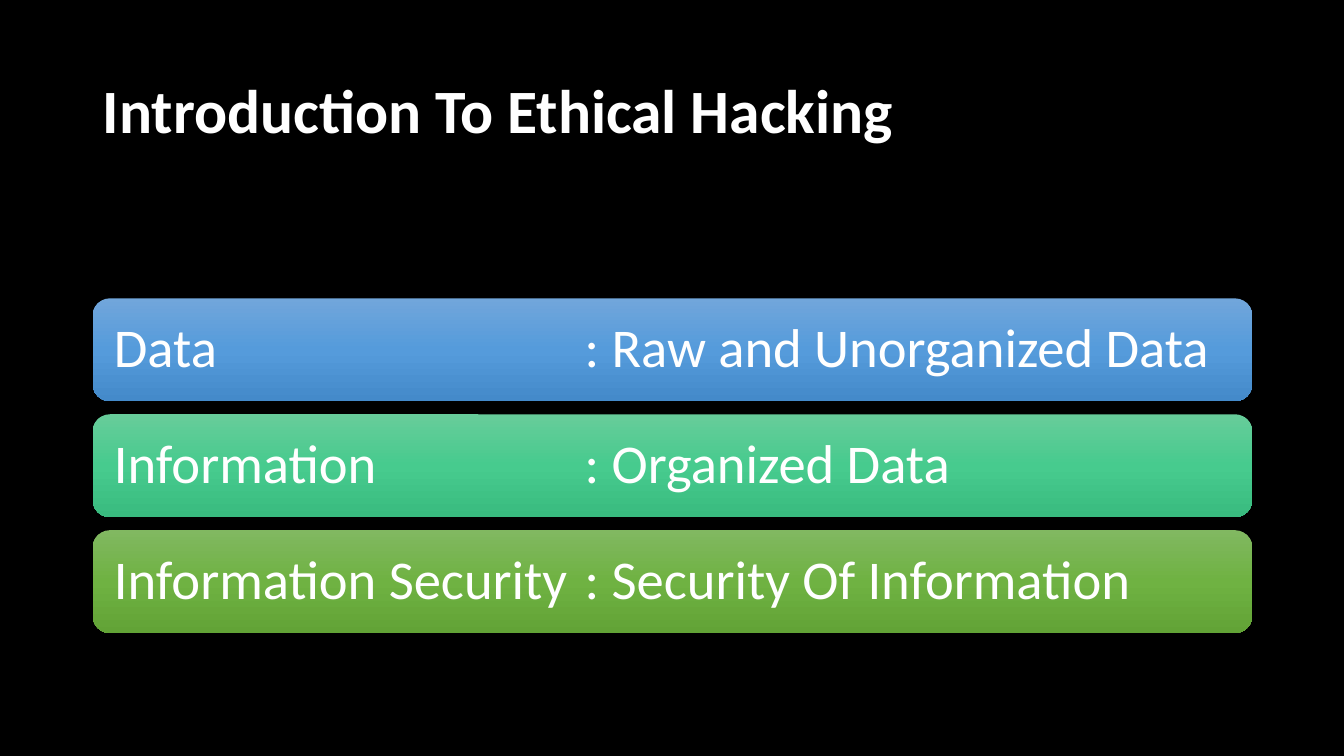
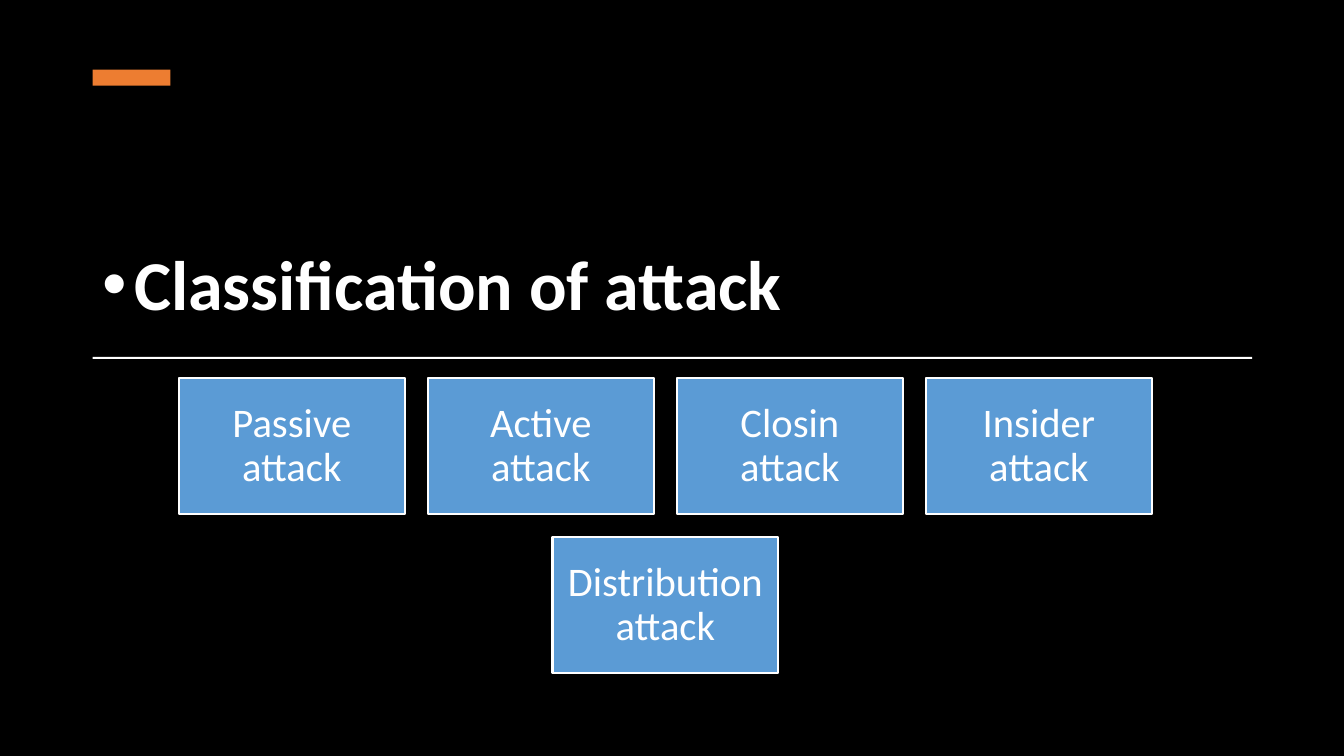
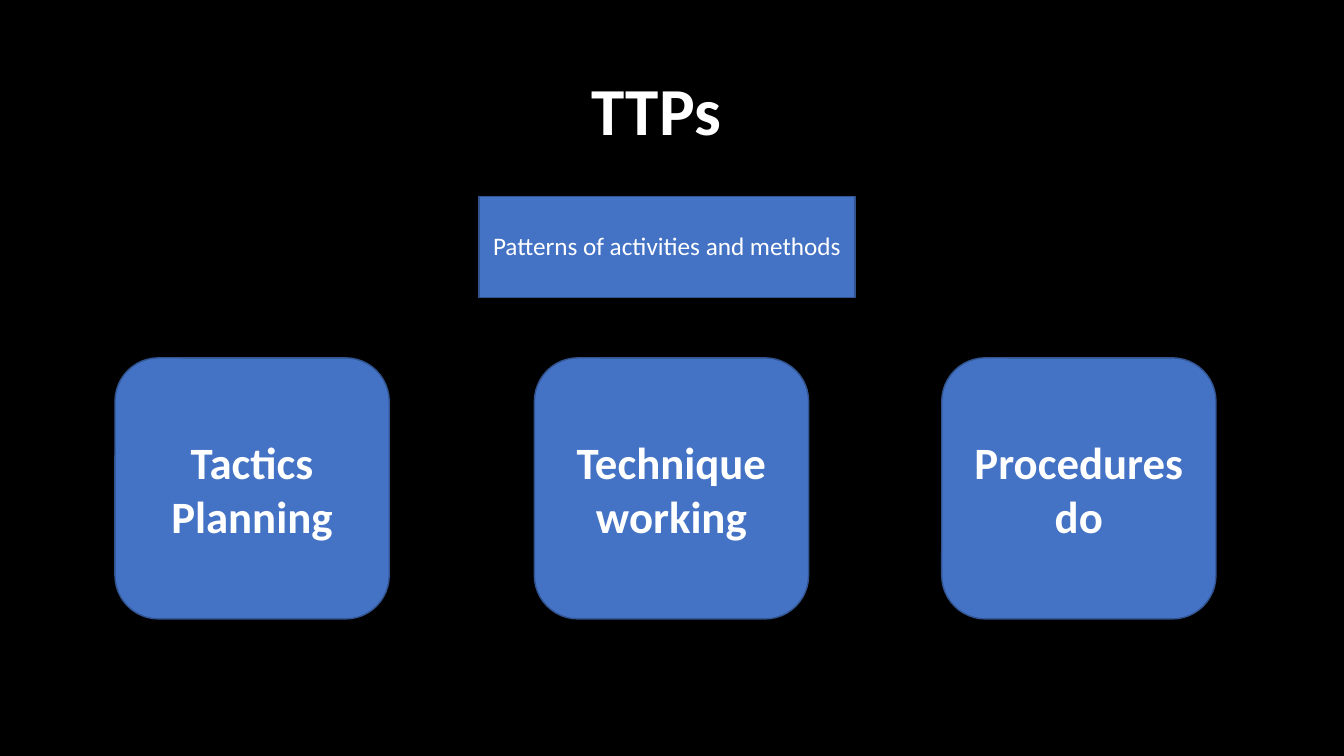
from copy import deepcopy

from lxml.etree import SubElement
from pptx import Presentation
from pptx.dml.color import RGBColor
from pptx.enum.shapes import MSO_SHAPE
from pptx.enum.text import MSO_ANCHOR, MSO_AUTO_SIZE, PP_ALIGN
from pptx.oxml.ns import qn
from pptx.util import Inches, Pt

FONT = "Calibri"
BLACK = "000000"
WHITE = "FFFFFF"
ORANGE = "ED7D31"
LIGHT_BLUE = "5B9BD5"
BLUE = "4472C4"
DARK_BLUE = "325491"
MARGIN = 0.92
CONTENT_WIDTH = 11.5

colour = RGBColor.from_string

presentation = Presentation()
presentation.slide_width = Inches(13.33)
presentation.slide_height = Inches(7.5)
background = presentation.slide_master.background.fill
background.solid()
background.fore_color.rgb = colour(BLACK)


def format_text(shape, text, size, bold=False, align=PP_ALIGN.CENTER,
                anchor=MSO_ANCHOR.MIDDLE, line_spacing=0.9):
    text_frame = shape.text_frame
    text_frame.text = text
    text_frame.word_wrap = True
    text_frame.auto_size = MSO_AUTO_SIZE.NONE
    text_frame.vertical_anchor = anchor
    for paragraph in text_frame.paragraphs:
        paragraph.alignment = align
        paragraph.line_spacing = line_spacing
        for run in paragraph.runs:
            run.font.name = FONT
            run.font.size = Pt(size)
            run.font.bold = bold
            run.font.color.rgb = colour(WHITE)


def add_box(slide, preset, left, top, width, height, fill, line=None, line_width=1):
    shape = slide.shapes.add_shape(
        preset, Inches(left), Inches(top), Inches(width), Inches(height))
    shape.shadow.inherit = False
    shape.fill.solid()
    shape.fill.fore_color.rgb = colour(fill)
    if line:
        shape.line.color.rgb = colour(line)
        shape.line.width = Pt(line_width)
    else:
        shape.line.fill.background()
    return shape


# Titles: text, left, top, height, size, alignment, anchor
titles = [
    ("Introduction To Ethical Hacking", MARGIN, 0.4, 1.45, 44, PP_ALIGN.LEFT, MSO_ANCHOR.MIDDLE),
    ("Classification of attack", MARGIN, 1.03, 2.25, 50, PP_ALIGN.LEFT, MSO_ANCHOR.BOTTOM),
    ("TTPs", 0.76, 0.4, 1.45, 48, PP_ALIGN.CENTER, MSO_ANCHOR.MIDDLE),
]
slides = []
for text, left, top, height, size, align, anchor in titles:
    slide = presentation.slides.add_slide(presentation.slide_layouts[5])
    title = slide.shapes.title
    title.left, title.top = Inches(left), Inches(top)
    title.width, title.height = Inches(CONTENT_WIDTH), Inches(height)
    format_text(title, text, size, bold=True, align=align, anchor=anchor)
    slides.append(slide)
introduction, classification, ttps = slides

# Slide 1: terms and their meanings, aligned at a tab stop
definitions = [
    ("Data", "Raw and Unorganized Data", ("71A6DB", "559BDB", "448ACA")),
    ("Information", "Organized Data", ("67CC9A", "47CB8E", "39BB7F")),
    ("Information Security", "Security Of Information", ("81B861", "6FB242", "62A336")),
]
for row, (term, meaning, gradient) in enumerate(definitions):
    bar = add_box(introduction, MSO_SHAPE.ROUNDED_RECTANGLE,
                  MARGIN, 2.96 + row * 1.15, CONTENT_WIDTH, 1.02, gradient[1])
    bar.fill.gradient()
    bar.fill.gradient_angle = 270
    stop_list = next(bar._element.spPr.iter(qn("a:gsLst")))
    stop_list.append(deepcopy(stop_list[0]))
    for stop, position, stop_colour in zip(bar.fill.gradient_stops, (0, 0.5, 1), gradient):
        stop.position = position
        stop.color.rgb = colour(stop_colour)
    format_text(bar, f"{term}\t: {meaning}", 39, align=PP_ALIGN.LEFT)
    bar.text_frame.margin_left = bar.text_frame.margin_right = Inches(0.16)
    properties = bar.text_frame.paragraphs[0]._p.get_or_add_pPr()
    tab_list = SubElement(properties, qn("a:tabLst"))
    SubElement(tab_list, qn("a:tab"), pos=str(Inches(4.67)), algn="l")

# Slide 2: bulleted title, accent, rule and a centred grid of attacks
title_paragraph = classification.shapes.title.text_frame.paragraphs[0]
properties = title_paragraph._p.get_or_add_pPr()
properties.set("marL", str(Inches(0.31)))
properties.set("indent", str(-Inches(0.31)))
SubElement(properties, qn("a:buFont"), typeface="Arial")
SubElement(properties, qn("a:buChar"), char="•")

add_box(classification, MSO_SHAPE.RECTANGLE, MARGIN, 0.69, 0.77, 0.16, ORANGE)
add_box(classification, MSO_SHAPE.RECTANGLE, MARGIN, 3.54, CONTENT_WIDTH, 0.02, WHITE)

attack_rows = [
    ["Passive attack", "Active attack", "Closin attack", "Insider attack"],
    ["Distribution attack"],
]
attack_width, attack_height, gap, grid_center = 2.24, 1.35, 0.23, 6.6
for row, attacks in enumerate(attack_rows):
    row_width = len(attacks) * (attack_width + gap) - gap
    for column, attack in enumerate(attacks):
        box = add_box(classification, MSO_SHAPE.RECTANGLE,
                      grid_center - row_width / 2 + column * (attack_width + gap),
                      3.75 + row * (attack_height + gap),
                      attack_width, attack_height, LIGHT_BLUE, WHITE, 1.5)
        format_text(box, attack, 29)
        box.text_frame.margin_left = box.text_frame.margin_right = Inches(0.12)

# Slide 3: three cards below a banner
cards = [(1.14, "Tactics\nPlanning"), (5.3, "Technique\nworking"), (9.34, "Procedures\ndo")]
for left, text in cards:
    card = add_box(ttps, MSO_SHAPE.ROUNDED_RECTANGLE, left, 3.55, 2.72, 2.59, BLUE, DARK_BLUE)
    format_text(card, text, 32, bold=True, line_spacing=1.0)

banner = add_box(ttps, MSO_SHAPE.RECTANGLE, 4.75, 1.95, 3.73, 1, BLUE, DARK_BLUE)
format_text(banner, "Patterns of activities and methods", 18)

presentation.save("out.pptx")
